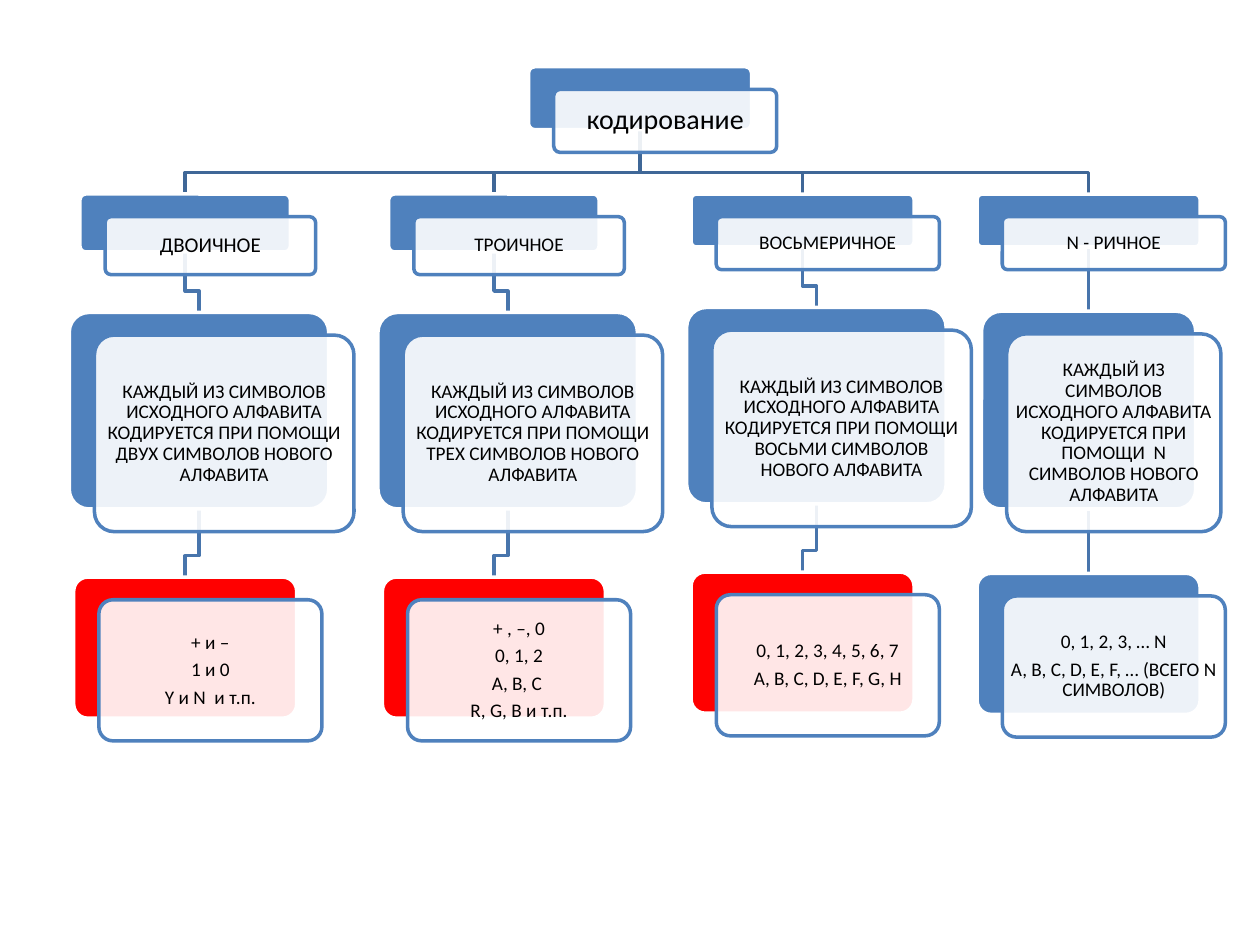
import dataclasses

import lxml.etree
import pptx
import pptx.dml.color
import pptx.enum.shapes
import pptx.enum.text
import pptx.oxml.ns
import pptx.util

Inches = pptx.util.Inches
Pt = pptx.util.Pt

COLORS = {
    "blue": "4F81BD",
    "red": "FF0000",
    "white": "FFFFFF",
    "black": "000000",
    "trunk": "3F6797",
    "branch": "4875AC",
}
FONT = "Calibri"
OFFSET_X, OFFSET_Y = 0.2, 0.18  # front plate relative to back plate
ELBOW = 0.17  # height of the bend above the lower card


@dataclasses.dataclass
class Card:
    center: float
    top: float
    width: float
    height: float
    lines: list[str]
    size: int = 11
    inset: float = 0.05
    color: str = "blue"

    @property
    def left(self) -> float:
        return self.center - self.width / 2

    @property
    def bottom(self) -> float:
        return self.top + self.height


@dataclasses.dataclass
class Column:
    center: float
    title: str
    number: str
    examples: list[str]
    title_width: float = 1.67
    title_height: float = 0.46
    title_size: int = 11
    rule_shift: float = 0.11
    rule_width: float = 2.06
    rule_height: float = 1.56
    rule_gap: float = 0.48
    example_gap: float = 0.54
    example_color: str = "red"

    def cards(self) -> list[Card]:
        rule_text = ("КАЖДЫЙ ИЗ СИМВОЛОВ ИСХОДНОГО АЛФАВИТА КОДИРУЕТСЯ "
                     f"ПРИ ПОМОЩИ {self.number} СИМВОЛОВ НОВОГО АЛФАВИТА")
        title = Card(self.center, 1.54, self.title_width, self.title_height,
                     [self.title], size=self.title_size)
        rule = Card(self.center + self.rule_shift, title.bottom + self.rule_gap,
                    self.rule_width, self.rule_height, [rule_text])
        example = Card(self.center, rule.bottom + self.example_gap, 1.77, 1.12,
                       self.examples, color=self.example_color)
        return [title, rule, example]


ROOT = Card(5.08, 0.53, 1.77, 0.5, ["кодирование"], size=16, inset=0.07)
COLUMNS = [
    Column(1.47, "ДВОИЧНОЕ", "ДВУХ", ["+ и –", "1 и 0", "Y и N  и т.п."],
           title_size=12),
    Column(3.92, "ТРОИЧНОЕ", "ТРЕХ",
           ["+ , –, 0", "0, 1, 2", "A, B, C ", "R, G, B и т.п."]),
    Column(6.37, "ВОСЬМЕРИЧНОЕ", "ВОСЬМИ",
           ["0, 1, 2, 3, 4, 5, 6, 7", "A, B, C, D, E, F, G, H"],
           title_width=1.77, title_height=0.42),
    Column(8.64, "N - РИЧНОЕ", " N",
           ["0, 1, 2, 3, … N", "A, B, C, D, E, F, … (ВСЕГО N СИМВОЛОВ)"],
           title_width=1.77, title_height=0.42, rule_shift=0, rule_width=1.7,
           rule_height=1.57, rule_gap=0.51, example_gap=0.51,
           example_color="blue"),
]


def rgb(name: str) -> pptx.dml.color.RGBColor:
    return pptx.dml.color.RGBColor.from_string(COLORS[name])


def set_line(shape, color: str) -> None:
    shape.line.color.rgb = rgb(color)
    shape.line.width = Pt(2)


def add_plate(slide, left: float, top: float, width: float, height: float, *,
              fill: str, line: str, opacity: int = 100) -> None:
    shape = slide.shapes.add_shape(
        pptx.enum.shapes.MSO_SHAPE.ROUNDED_RECTANGLE,
        Inches(left), Inches(top), Inches(width), Inches(height))
    shape.adjustments[0] = 0.1
    shape.shadow.inherit = False
    shape.fill.solid()
    shape.fill.fore_color.rgb = rgb(fill)
    set_line(shape, line)
    if opacity < 100:
        color = shape.fill._xPr.find(".//" + pptx.oxml.ns.qn("a:srgbClr"))
        alpha = lxml.etree.SubElement(color, pptx.oxml.ns.qn("a:alpha"))
        alpha.set("val", str(opacity * 1000))


def add_text(slide, lines: list[str], *, left: float, top: float, width: float,
             height: float, size: int, inset: float, color: str = "black") -> None:
    box = slide.shapes.add_textbox(
        Inches(left), Inches(top), Inches(width), Inches(height))
    frame = box.text_frame
    frame.word_wrap = True
    frame.vertical_anchor = pptx.enum.text.MSO_ANCHOR.MIDDLE
    frame.margin_left = frame.margin_right = Inches(inset)
    frame.margin_top = frame.margin_bottom = Inches(inset)
    for index, line in enumerate(lines):
        paragraph = frame.add_paragraph() if index else frame.paragraphs[0]
        paragraph.alignment = pptx.enum.text.PP_ALIGN.CENTER
        paragraph.line_spacing = 0.9
        paragraph.space_after = Pt(0.35 * size)
        run = paragraph.add_run()
        run.text = line
        run.font.name = FONT
        run.font.size = Pt(size)
        run.font.color.rgb = rgb(color)


def add_card(slide, card: Card) -> None:
    left, top = card.left + OFFSET_X, card.top + OFFSET_Y
    add_plate(slide, card.left, card.top, card.width, card.height,
              fill=card.color, line="white")
    add_plate(slide, left, top, card.width, card.height,
              fill="white", line="blue", opacity=90)
    add_text(slide, card.lines, left=left, top=top, width=card.width,
             height=card.height, size=card.size, inset=card.inset)


def add_link(slide, upper: Card, lower: Card, color: str) -> None:
    start = (Inches(upper.center), Inches(upper.bottom))
    end = (Inches(lower.center), Inches(lower.top))
    if upper.center == lower.center:
        link = slide.shapes.add_connector(
            pptx.enum.shapes.MSO_CONNECTOR.STRAIGHT, *start, *end)
        lxml.etree.SubElement(link._element.spPr, pptx.oxml.ns.qn("a:effectLst"))
        set_line(link, color)
        # The effect list has to follow the line properties
        link._element.spPr.append(
            link._element.spPr.find(pptx.oxml.ns.qn("a:effectLst")))
        return
    bend = Inches(lower.top - ELBOW)
    builder = slide.shapes.build_freeform(*start)
    builder.add_line_segments(
        [(start[0], bend), (end[0], bend), end], close=False)
    link = builder.convert_to_shape()
    link.shadow.inherit = False
    link.fill.background()
    set_line(link, color)


presentation = pptx.Presentation()
presentation.slide_width = Inches(10)
presentation.slide_height = Inches(7.5)
slide = presentation.slides.add_slide(presentation.slide_layouts[6])
branches = [column.cards() for column in COLUMNS]

# Links lie behind the cards
for title, rule, example in reversed(branches):
    add_link(slide, rule, example, "branch")
    add_link(slide, title, rule, "branch")
    add_link(slide, ROOT, title, "trunk")

# Cards
add_card(slide, ROOT)
for branch in branches:
    for card in branch:
        add_card(slide, card)

presentation.save("out.pptx")
